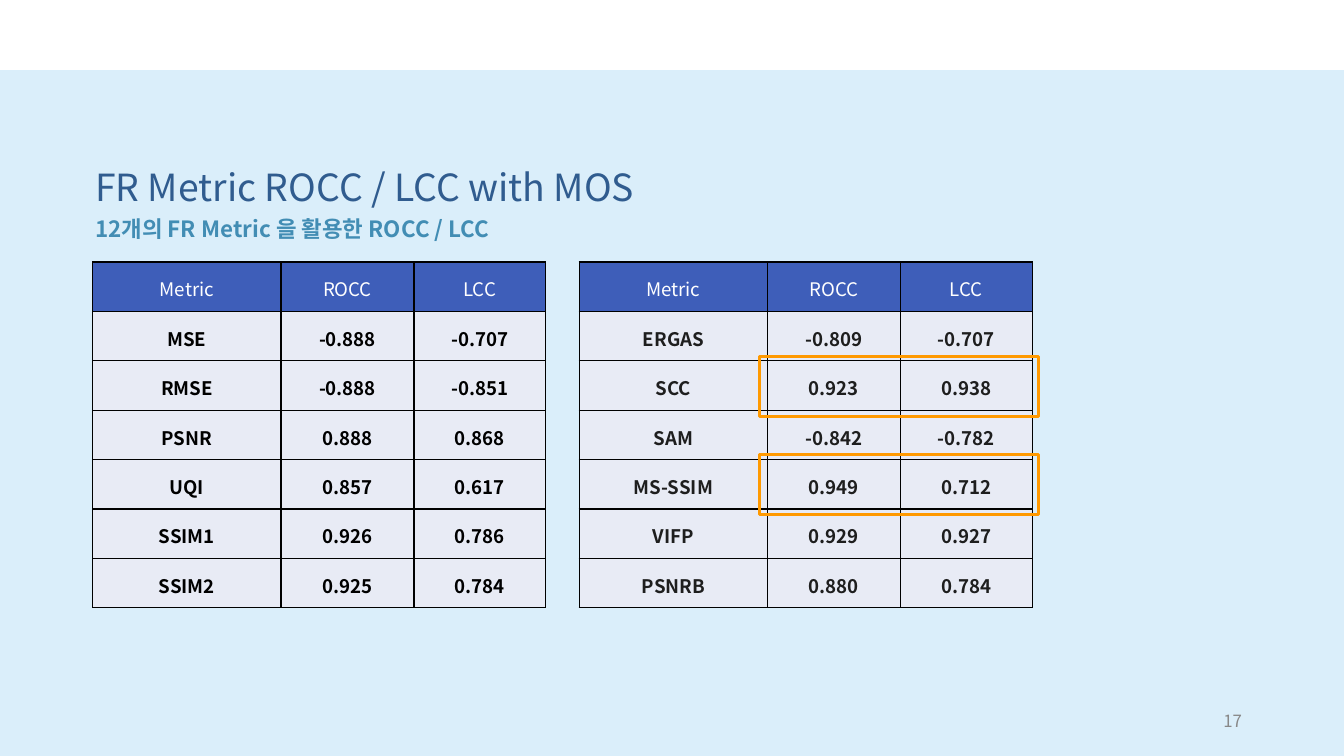
from dataclasses import dataclass

from lxml import etree
from pptx import Presentation
from pptx.dml.color import RGBColor
from pptx.enum.shapes import MSO_SHAPE
from pptx.enum.text import MSO_ANCHOR, PP_ALIGN
from pptx.oxml.ns import qn
from pptx.slide import Slide
from pptx.table import _Cell
from pptx.text.text import TextFrame
from pptx.util import Inches, Pt

RECTANGLE = MSO_SHAPE.RECTANGLE
LEFT, CENTER, RIGHT = PP_ALIGN.LEFT, PP_ALIGN.CENTER, PP_ALIGN.RIGHT
TOP, MIDDLE = MSO_ANCHOR.TOP, MSO_ANCHOR.MIDDLE


@dataclass(frozen=True)
class Theme:
    font: str = "Noto Sans CJK KR"
    background: str = "DAEEFA"
    white: str = "FFFFFF"
    title: str = "305C8F"
    subtitle: str = "428DB4"
    page_number: str = "888888"
    header_fill: str = "3E5EB9"
    body_fill: str = "E8EBF5"
    border: str = "000000"
    highlight: str = "FF9900"
    title_size: float = 20
    subtitle_size: float = 12
    table_size: float = 10
    page_size: float = 9
    border_width: float = 0.75
    highlight_width: float = 1.5


THEME = Theme()


@dataclass(frozen=True)
class Box:
    left: float
    top: float
    width: float
    height: float

    def lengths(self) -> tuple:
        return tuple(Inches(side) for side in (self.left, self.top, self.width, self.height))


@dataclass(frozen=True)
class MetricTable:
    left: float
    text_color: str
    rows: tuple


SLIDE_WIDTH = 10
SLIDE_HEIGHT = SLIDE_WIDTH * 9 / 16
TABLE_TOP = 1.95
TABLE_HEIGHT = 2.57
COLUMN_WIDTHS = (1.4, 0.99, 0.98)
HEADER = ("Metric", "ROCC", "LCC")
TABLES = (
    MetricTable(0.69, "000000", (
        ("MSE", "-0.888", "-0.707"),
        ("RMSE", "-0.888", "-0.851"),
        ("PSNR", "0.888", "0.868"),
        ("UQI", "0.857", "0.617"),
        ("SSIM1", "0.926", "0.786"),
        ("SSIM2", "0.925", "0.784"),
    )),
    MetricTable(4.31, "1E1E1E", (
        ("ERGAS", "-0.809", "-0.707"),
        ("SCC", "0.923", "0.938"),
        ("SAM", "-0.842", "-0.782"),
        ("MS-SSIM", "0.949", "0.712"),
        ("VIFP", "0.929", "0.927"),
        ("PSNRB", "0.880", "0.784"),
    )),
)
HIGHLIGHTS = (Box(5.65, 2.65, 2.08, 0.45), Box(5.65, 3.38, 2.08, 0.45))


def write_text(frame: TextFrame, text: str, *, size: float, color: str, bold: bool = False,
               align: PP_ALIGN = LEFT, line_spacing: float = 1.0) -> None:
    paragraph = frame.paragraphs[0]
    paragraph.alignment = align
    paragraph.line_spacing = line_spacing
    run = paragraph.add_run()
    run.text = text
    run.font.name = THEME.font
    run.font.size = Pt(size)
    run.font.bold = bold
    run.font.color.rgb = RGBColor.from_string(color)
    east_asian = etree.SubElement(run.font._element, qn("a:ea"))
    east_asian.set("typeface", THEME.font)


def add_text(slide: Slide, box: Box, text: str, *, inset_x: float = 0.1, inset_y: float = 0.1,
             anchor: MSO_ANCHOR = TOP, **text_format) -> None:
    frame = slide.shapes.add_textbox(*box.lengths()).text_frame
    frame.word_wrap = True
    frame.vertical_anchor = anchor
    frame.margin_left = frame.margin_right = Inches(inset_x)
    frame.margin_top = frame.margin_bottom = Inches(inset_y)
    write_text(frame, text, **text_format)


def add_rectangle(slide: Slide, box: Box, *, fill: str | None = None,
                  line: str | None = None) -> None:
    shape = slide.shapes.add_shape(RECTANGLE, *box.lengths())
    shape.shadow.inherit = False
    if fill:
        shape.fill.solid()
        shape.fill.fore_color.rgb = RGBColor.from_string(fill)
    else:
        shape.fill.background()
    if line:
        shape.line.color.rgb = RGBColor.from_string(line)
        shape.line.width = Pt(THEME.highlight_width)
    else:
        shape.line.fill.background()


def set_borders(cell: _Cell) -> None:
    properties = cell._tc.get_or_add_tcPr()
    for side in ("L", "R", "T", "B"):
        line = etree.SubElement(properties, qn(f"a:ln{side}"), w=str(Pt(THEME.border_width)))
        fill = etree.SubElement(line, qn("a:solidFill"))
        etree.SubElement(fill, qn("a:srgbClr"), val=THEME.border)


def add_metric_table(slide: Slide, metrics: MetricTable) -> None:
    rows = (HEADER, *metrics.rows)
    box = Box(metrics.left, TABLE_TOP, sum(COLUMN_WIDTHS), TABLE_HEIGHT)
    table = slide.shapes.add_table(len(rows), len(HEADER), *box.lengths()).table
    table.first_row = False
    table.horz_banding = False
    for column, width in zip(table.columns, COLUMN_WIDTHS):
        column.width = Inches(width)
    for row_index, row in enumerate(rows):
        is_header = row_index == 0
        for column_index, text in enumerate(row):
            cell = table.cell(row_index, column_index)
            cell.margin_left = cell.margin_right = Inches(0.1)
            cell.margin_top = cell.margin_bottom = Inches(0.1)
            set_borders(cell)
            cell.fill.solid()
            cell.fill.fore_color.rgb = RGBColor.from_string(
                THEME.header_fill if is_header else THEME.body_fill)
            write_text(cell.text_frame, text, size=THEME.table_size, align=CENTER,
                       color=THEME.white if is_header else metrics.text_color,
                       bold=not is_header)


def main() -> None:
    presentation = Presentation()
    presentation.slide_width = Inches(SLIDE_WIDTH)
    presentation.slide_height = Inches(SLIDE_HEIGHT)
    slide = presentation.slides.add_slide(presentation.slide_layouts[6])
    slide.background.fill.solid()
    slide.background.fill.fore_color.rgb = RGBColor.from_string(THEME.background)

    add_rectangle(slide, Box(0, 0, SLIDE_WIDTH, 0.52), fill=THEME.white)
    add_text(slide, Box(7.06, 5.21, 2.25, 0.3), "17", inset_x=0.07, inset_y=0.04,
             anchor=MIDDLE, size=THEME.page_size, color=THEME.page_number, align=RIGHT)
    add_text(slide, Box(0.61, 1.07, 4.68, 0.93), "FR Metric ROCC / LCC with MOS",
             size=THEME.title_size, color=THEME.title, line_spacing=1.15)
    for metrics in TABLES:
        add_metric_table(slide, metrics)
    add_text(slide, Box(0.61, 1.47, 3.61, 0.4), "12개의 FR Metric 을 활용한 ROCC / LCC",
             size=THEME.subtitle_size, color=THEME.subtitle, bold=True, line_spacing=1.15)
    for box in HIGHLIGHTS:
        add_rectangle(slide, box, line=THEME.highlight)

    presentation.save("out.pptx")


if __name__ == "__main__":
    main()
